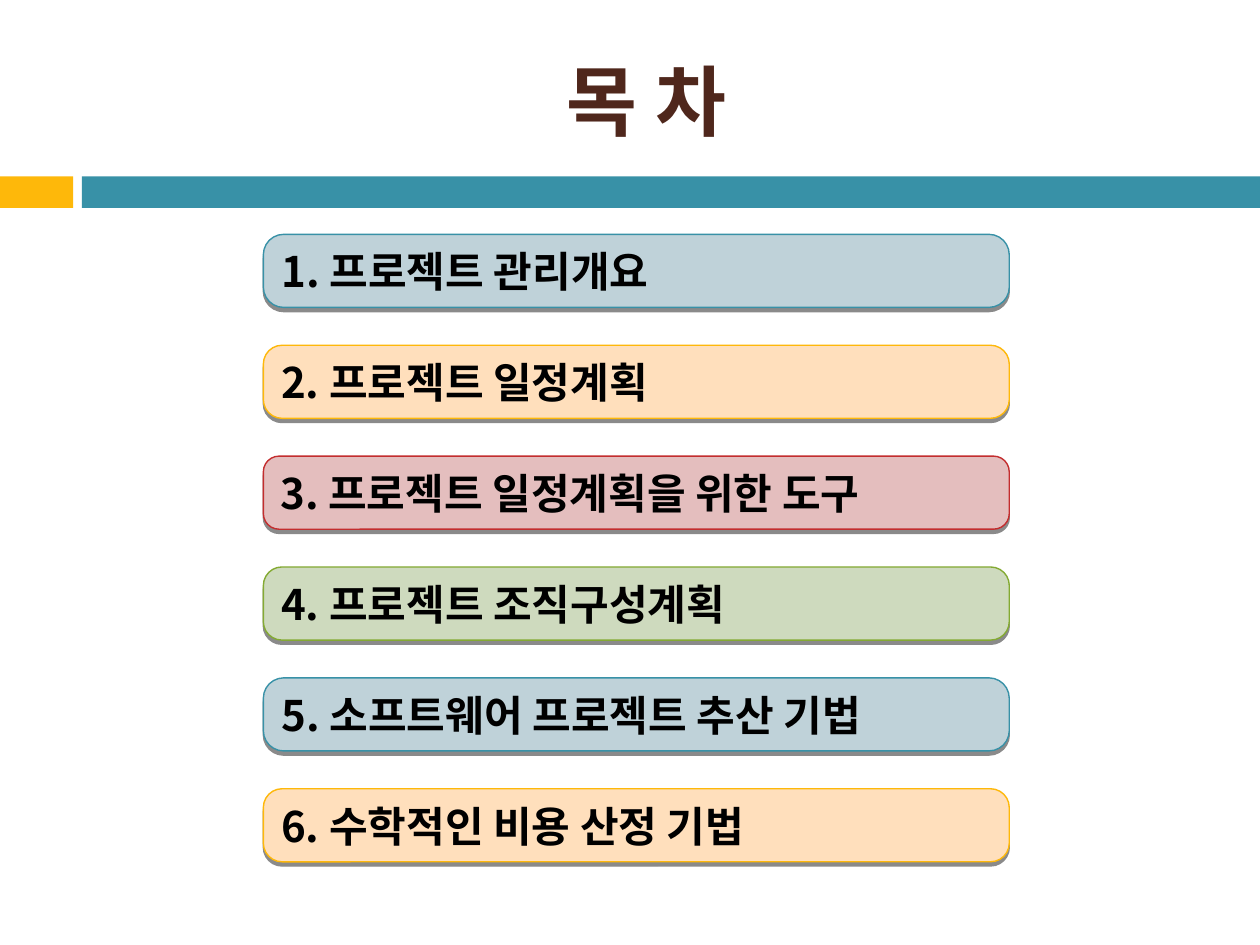
from lxml.etree import SubElement
from pptx import Presentation
from pptx.dml.color import RGBColor
from pptx.enum.shapes import MSO_SHAPE as Shape
from pptx.enum.text import MSO_ANCHOR as Anchor, PP_ALIGN as Align
from pptx.oxml.ns import qn
from pptx.util import Inches, Pt

FONT = "Noto Sans CJK KR"
BLACK = RGBColor(0x00, 0x00, 0x00)
BROWN = RGBColor(0x4F, 0x27, 0x1C)
TEAL = RGBColor(0x38, 0x91, 0xA7)
GOLD = RGBColor(0xFE, 0xB8, 0x0A)
RED = RGBColor(0xC3, 0x2D, 0x2E)
GREEN = RGBColor(0x84, 0xAA, 0x33)
PALE_TEAL = RGBColor(0xBF, 0xD2, 0xD9)
PALE_GOLD = RGBColor(0xFF, 0xDF, 0xBC)
PALE_RED = RGBColor(0xE4, 0xBE, 0xBE)
PALE_GREEN = RGBColor(0xCE, 0xDA, 0xBE)

STYLES = [
    (PALE_TEAL, TEAL, 0.277),
    (PALE_GOLD, GOLD, 0.256),
    (PALE_RED, RED, 0.214),
    (PALE_GREEN, GREEN, 0.253),
]
TOPICS = [
    "프로젝트 관리개요",
    "프로젝트 일정계획",
    "프로젝트 일정계획을 위한 도구",
    "프로젝트 조직구성계획",
    "소프트웨어 프로젝트 추산 기법",
    "수학적인 비용 산정 기법",
]
LEFT, TOP, WIDTH, HEIGHT, PITCH = 2.09, 1.86, 5.92, 0.58, 0.88
BAND_TOP, BAND_HEIGHT = 1.4, 0.25


def write(sp, text, size=24, color=BLACK, align=Align.LEFT, wrap=False):
    """Put one bold, vertically centred line of text in a shape."""
    tf = sp.text_frame
    tf.word_wrap = wrap
    tf.vertical_anchor = Anchor.MIDDLE
    p = tf.paragraphs[0]
    p.alignment = align
    r = p.add_run()
    r.text = text
    r.font.size, r.font.bold, r.font.name = Pt(size), True, FONT
    r.font.color.rgb = color
    SubElement(r.font._element, qn("a:ea"), typeface=FONT)


def add_block(s, kind, box, fill):
    """Add a flat filled shape without outline."""
    sp = s.shapes.add_shape(kind, *map(Inches, box))
    sp.shadow.inherit = False
    sp.fill.solid()
    sp.fill.fore_color.rgb = fill
    sp.line.fill.background()
    return sp


def add_shadow(sp):
    """Give a shape a hard shadow straight below it."""
    effects = sp._element.spPr.find(qn("a:effectLst"))
    shadow = SubElement(effects, qn("a:outerShdw"), blurRad="0",
                        dist=str(Pt(2.4)), dir="5400000", rotWithShape="0")
    color = SubElement(shadow, qn("a:srgbClr"), val="000000")
    SubElement(color, qn("a:alpha"), val="45000")


def add_topic(s, row, topic):
    """Add one numbered bar of the contents list."""
    fill, line, corner = STYLES[row % len(STYLES)]
    box = LEFT, TOP + row * PITCH, WIDTH, HEIGHT
    sp = add_block(s, Shape.ROUNDED_RECTANGLE, box, fill)
    sp.adjustments[0] = corner
    sp.line.color.rgb = line
    sp.line.width = Pt(0.79)
    add_shadow(sp)
    write(sp, f"{row + 1}. {topic}")


def add_title(s, text):
    """Place and fill the title placeholder."""
    sp = s.shapes.title
    sp.left, sp.top, sp.width, sp.height = map(Inches, (0.67, 0.25, 8.92, 1.08))
    write(sp, text, size=44, color=BROWN, align=Align.CENTER, wrap=True)


def main():
    """Build the contents slide."""
    prs = Presentation()
    prs.slide_width, prs.slide_height = Inches(10), Inches(7.5)
    s = prs.slides.add_slide(prs.slide_layouts[5])
    for left, width, color in ((0, 0.58, GOLD), (0.65, 9.35, TEAL)):
        add_block(s, Shape.RECTANGLE, (left, BAND_TOP, width, BAND_HEIGHT), color)
    add_title(s, "목 차")
    for row, topic in enumerate(TOPICS):
        add_topic(s, row, topic)
    prs.save("out.pptx")


if __name__ == "__main__":
    main()
